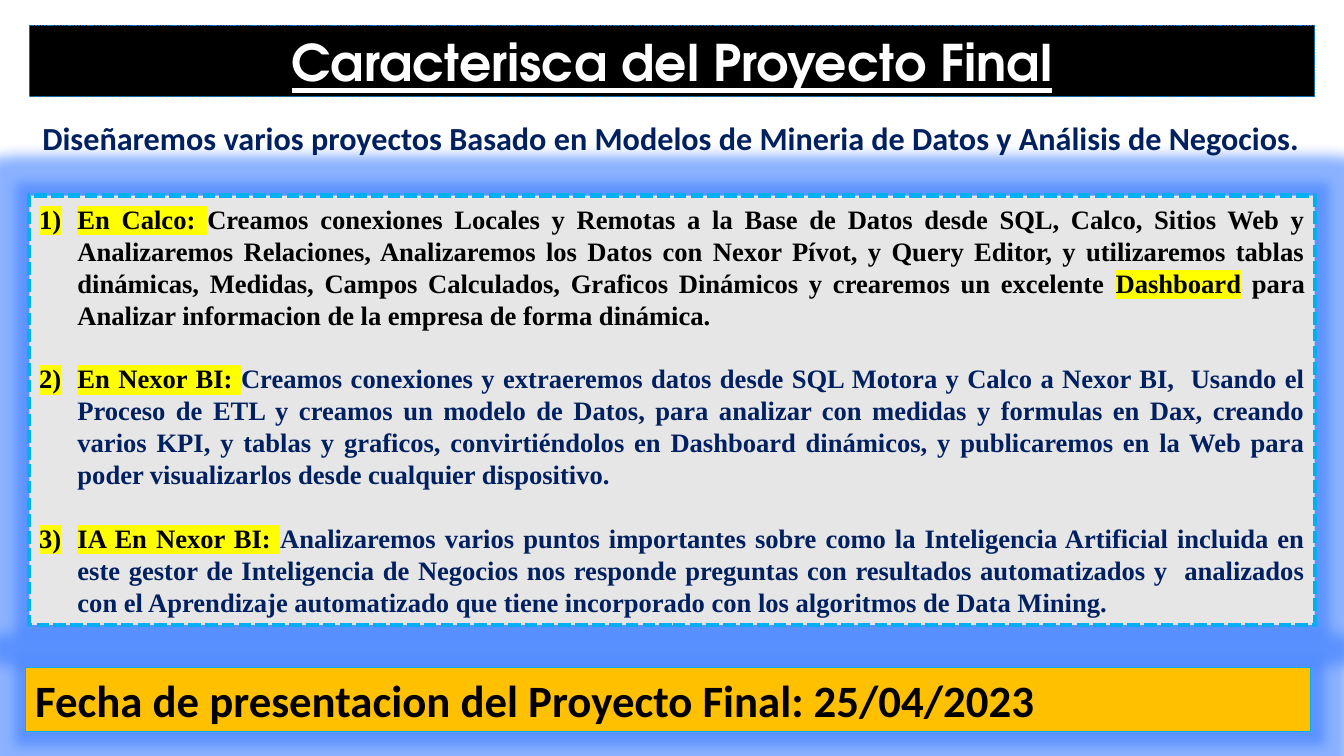
from lxml.etree import SubElement as Sub
from pptx import Presentation
from pptx.dml.color import RGBColor
from pptx.enum.dml import MSO_LINE as Dash
from pptx.enum.shapes import MSO_SHAPE as Kind
from pptx.enum.text import MSO_ANCHOR as Anchor, MSO_AUTO_SIZE as Auto, PP_ALIGN as Align
from pptx.oxml.ns import qn
from pptx.util import Inches, Pt

WIDE, HIGH = 13.33, 7.5
BLACK, WHITE, NAVY, SKY = "000000", "FFFFFF", "002060", "00B0F0"
GLOW, MARK = "3F7FFF", "FFFF00"
SERIF, SANS, HEAD = "Times New Roman", "Calibri", "TeX Gyre Adventor"

TITLE = "Caracterisca del Proyecto Final"
INTRO = "Diseñaremos varios proyectos Basado en Modelos de Mineria de Datos y Análisis de Negocios."
DATE = "Fecha de presentacion del Proyecto Final: 25/04/2023"
ITEMS = [
    [("En Calco: ", BLACK, MARK),
     ("Creamos conexiones Locales y Remotas a la Base de Datos desde SQL, Calco, Sitios Web y "
      "Analizaremos Relaciones, Analizaremos los Datos con Nexor Pívot, y Query Editor, y utilizaremos "
      "tablas dinámicas, Medidas, Campos Calculados, Graficos Dinámicos y crearemos un excelente ", BLACK, None),
     ("Dashboard", BLACK, MARK),
     (" para Analizar informacion de la empresa de forma dinámica.", BLACK, None)],
    [("En Nexor BI: ", BLACK, MARK),
     ("Creamos conexiones y extraeremos datos desde SQL Motora y Calco a Nexor BI,  Usando el Proceso "
      "de ETL y creamos un modelo de Datos, para analizar con medidas y formulas en Dax, creando varios "
      "KPI, y tablas y graficos, convirtiéndolos en Dashboard dinámicos, y publicaremos en la Web para "
      "poder visualizarlos desde cualquier dispositivo.", NAVY, None)],
    [("IA En Nexor BI: ", BLACK, MARK),
     ("Analizaremos varios puntos importantes sobre como la Inteligencia Artificial incluida en este "
      "gestor de Inteligencia de Negocios nos responde preguntas con resultados automatizados y  "
      "analizados con el Aprendizaje automatizado que tiene incorporado con los algoritmos de Data "
      "Mining.", NAVY, None)],
]

SPAN = 12.75
LEFT = round((WIDE - SPAN) / 2, 2)
ROWS = {"title": (LEFT, 0.25, 0.71), "intro": (LEFT, 1.12, 0.49),
        "items": (LEFT, 1.94, 4.26), "date": (0.25, 6.62, 0.64)}
INDENT, PITCH = 0.38, 22.8


def tint(code):
    return RGBColor.from_string(code)


def place(shape, row):
    left, top, high = ROWS[row]
    shape.left, shape.top = Inches(left), Inches(top)
    shape.width, shape.height = Inches(SPAN), Inches(high)
    frame = shape.text_frame
    frame.word_wrap, frame.auto_size = True, Auto.NONE
    frame.vertical_anchor = Anchor.MIDDLE
    return frame


def paint(shape, fill, edge, width, dash=None):
    shape.fill.solid()
    shape.fill.fore_color.rgb = tint(fill)
    shape.line.color.rgb = tint(edge)
    shape.line.width = Pt(width)
    if dash:
        shape.line.dash_style = dash


def write(para, text, size, face, ink, mark=None):
    run = para.add_run()
    run.text = text
    font = run.font
    font.size, font.bold = Pt(size), True
    font.color.rgb = tint(ink)
    if mark:
        Sub(Sub(font._element, qn("a:highlight")), qn("a:srgbClr"), val=mark)
    font.name = face
    return font


def panel(row, *look):
    shape = slide.shapes.add_shape(Kind.RECTANGLE, 0, 0, 0, 0)
    paint(shape, *look)
    shape.shadow.inherit = False
    halo = Sub(shape._element.spPr.find(qn("a:effectLst")), qn("a:glow"), rad=str(Inches(0.25)))
    Sub(Sub(halo, qn("a:srgbClr"), val=GLOW), qn("a:alpha"), val="60000")
    return place(shape, row)


deck = Presentation()
deck.slide_width, deck.slide_height = Inches(WIDE), Inches(HIGH)
slide = deck.slides.add_slide(deck.slide_layouts[5])

title = slide.shapes.title
paint(title, BLACK, "0070C0", 0.5, Dash.SQUARE_DOT)
para = place(title, "title").paragraphs[0]
para.alignment = Align.CENTER
write(para, TITLE, 36, HEAD, WHITE).underline = True

frame = panel("items", "E7E6E6", SKY, 3, Dash.SQUARE_DOT)
for num, runs in enumerate(ITEMS):
    para = frame.add_paragraph() if num else frame.paragraphs[0]
    para.alignment = Align.JUSTIFY
    para.line_spacing = Pt(PITCH)
    para.space_before = Pt(PITCH if num else 0)
    props = para._p.get_or_add_pPr()
    props.set("marL", str(Inches(INDENT)))
    props.set("indent", str(-Inches(INDENT)))
    Sub(props, qn("a:buFont"), typeface=SERIF)
    Sub(props, qn("a:buAutoNum"), type="arabicParenR")
    for text, ink, mark in runs:
        write(para, text, 19, SERIF, ink, mark)

para = place(slide.shapes.add_textbox(0, 0, 0, 0), "intro").paragraphs[0]
para.alignment = Align.CENTER
write(para, INTRO, 23, SANS, NAVY)

para = panel("date", "FFC000", SKY, 0.75).paragraphs[0]
para.alignment = Align.LEFT
write(para, DATE, 32, SANS, BLACK)

deck.save("out.pptx")
